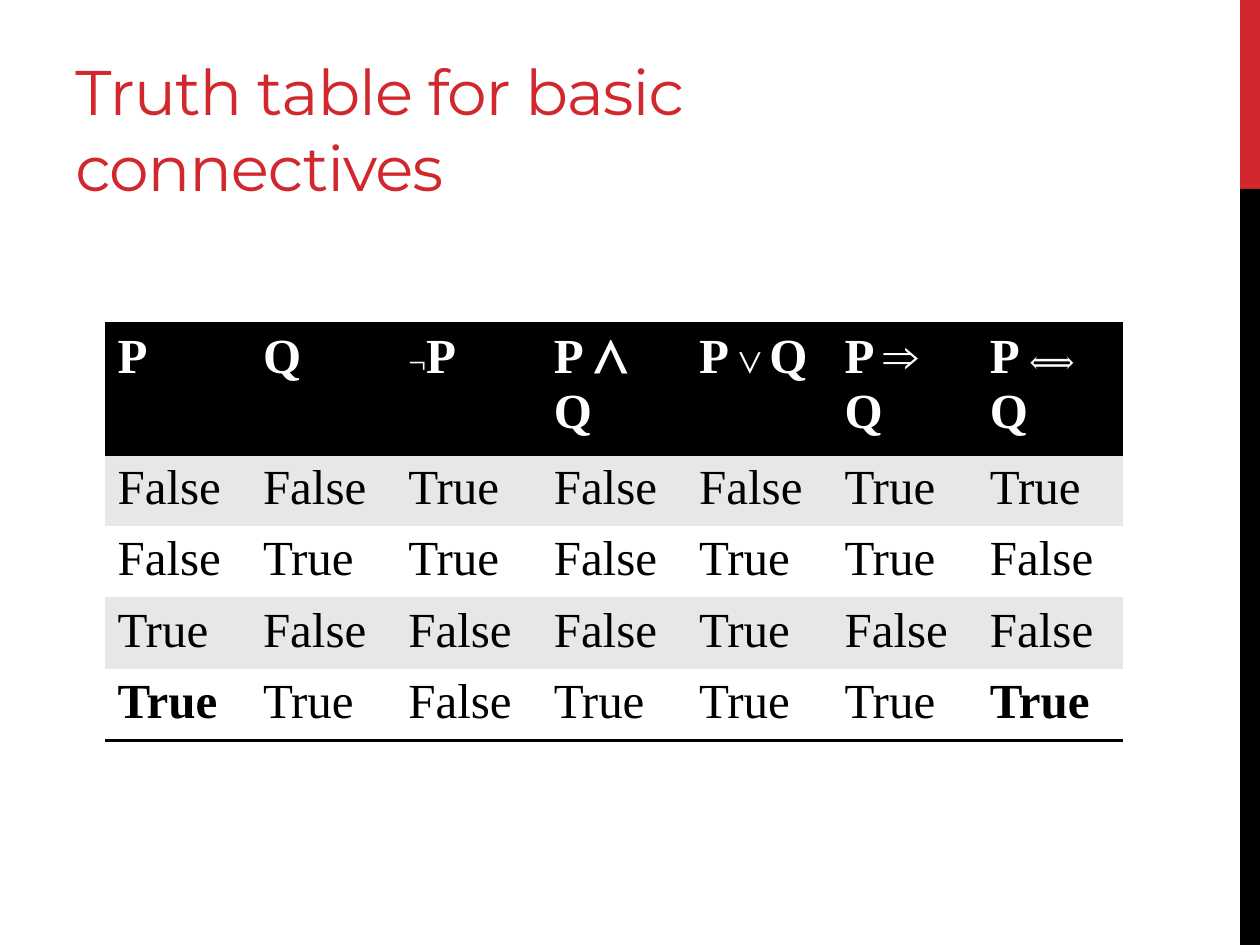
from dataclasses import dataclass

from lxml import etree
from pptx import Presentation
from pptx.dml import color
from pptx.enum import shapes, text
from pptx.oxml import ns
from pptx.util import Pt

EMU_PER_PX = 914400 / 126
RED, BLACK, WHITE, GREY = "D1282E", "000000", "FFFFFF", "E7E7E7"
BODY_FONT = "Times New Roman"


@dataclass
class Bar:
    top: int
    height: int
    fill: str


@dataclass
class Piece:
    """A stretch of text in one format."""
    words: str
    size: int = 28
    bold: bool = True


SIDE_BARS = [Bar(0, 189, RED), Bar(189, 756, BLACK)]

HEADINGS = [
    [Piece("P")],
    [Piece("Q")],
    [Piece("¬", 18, False), Piece("P")],
    [Piece("P ⋀ Q")],
    [Piece("P "), Piece("⋁ ", 18, False), Piece("Q")],
    [Piece("P ⇒ Q")],
    [Piece("P "), Piece("⟺ ", 18, False), Piece("Q")],
]


def truth_values(p: bool, q: bool) -> list[bool]:
    return [p, q, not p, p and q, p or q, not p or q, p == q]


def px(length: int) -> int:
    return round(length * EMU_PER_PX)


def rgb(value: str) -> color.RGBColor:
    return color.RGBColor.from_string(value)


def draw_bar(slide, bar: Bar) -> None:
    strip = slide.shapes.add_shape(shapes.MSO_SHAPE.RECTANGLE, px(1240),
                                   px(bar.top), px(20), px(bar.height))
    strip.shadow.inherit = False
    strip.fill.solid()
    strip.fill.fore_color.rgb = rgb(bar.fill)
    strip.line.fill.background()


def write(paragraph, piece: Piece, font_name: str, ink: str):
    run = paragraph.add_run()
    run.text = piece.words
    font_format = {"name": font_name, "size": Pt(piece.size), "bold": piece.bold}
    for attribute, value in font_format.items():
        setattr(run.font, attribute, value)
    run.font.color.rgb = rgb(ink)
    return run


def draw_title(slide) -> None:
    title = slide.shapes.add_textbox(px(63), px(21), px(798), px(189))
    frame = title.text_frame
    frame.word_wrap = True
    frame.vertical_anchor = text.MSO_ANCHOR.BOTTOM
    words = Piece("Truth table for basic connectives", 36, False)
    run = write(frame.paragraphs[0], words, "Montserrat", RED)
    run.font._element.set("spc", "-60")


def add_border(cell, side: str) -> None:
    """Draw a 2 pt black edge; call before filling, as edges precede the fill."""
    edge = etree.SubElement(cell._tc.get_or_add_tcPr(), ns.qn(f"a:ln{side}"),
                            w=str(Pt(2)))
    solid = etree.SubElement(edge, ns.qn("a:solidFill"))
    etree.SubElement(solid, ns.qn("a:srgbClr"), val=BLACK)


def fill_cell(cell, pieces: list[Piece], fill: str, ink: str, edges: str) -> None:
    for side in edges:
        add_border(cell, side)
    cell.fill.solid()
    cell.fill.fore_color.rgb = rgb(fill)
    for piece in pieces:
        write(cell.text_frame.paragraphs[0], piece, BODY_FONT, ink)


def draw_truth_table(slide) -> None:
    cases = [(p, q) for p in (False, True) for q in (False, True)]
    table = slide.shapes.add_table(len(cases) + 1, len(HEADINGS), px(105),
                                   px(324), px(1018), px(335)).table
    # The "No Style, No Grid" table style
    style = table._tbl.tblPr.find(ns.qn("a:tableStyleId"))
    style.text = "{2D5ABB26-0587-4C30-8999-92F81FD0307C}"
    table.horz_banding = False

    for column, heading in enumerate(HEADINGS):
        fill_cell(table.cell(0, column), heading, BLACK, WHITE, "TB")
    for row, case in enumerate(cases, start=1):
        is_last = row == len(cases)
        for column, value in enumerate(truth_values(*case)):
            is_outer = column in (0, len(HEADINGS) - 1)
            piece = Piece(str(value), bold=is_last and is_outer)
            fill_cell(table.cell(row, column), [piece],
                      GREY if row % 2 else WHITE, BLACK, "B" if is_last else "")


def main() -> None:
    deck = Presentation()
    deck.slide_width, deck.slide_height = px(1260), px(945)
    slide = deck.slides.add_slide(deck.slide_layouts[6])
    for bar in SIDE_BARS:
        draw_bar(slide, bar)
    draw_title(slide)
    draw_truth_table(slide)
    deck.save("out.pptx")


if __name__ == "__main__":
    main()
